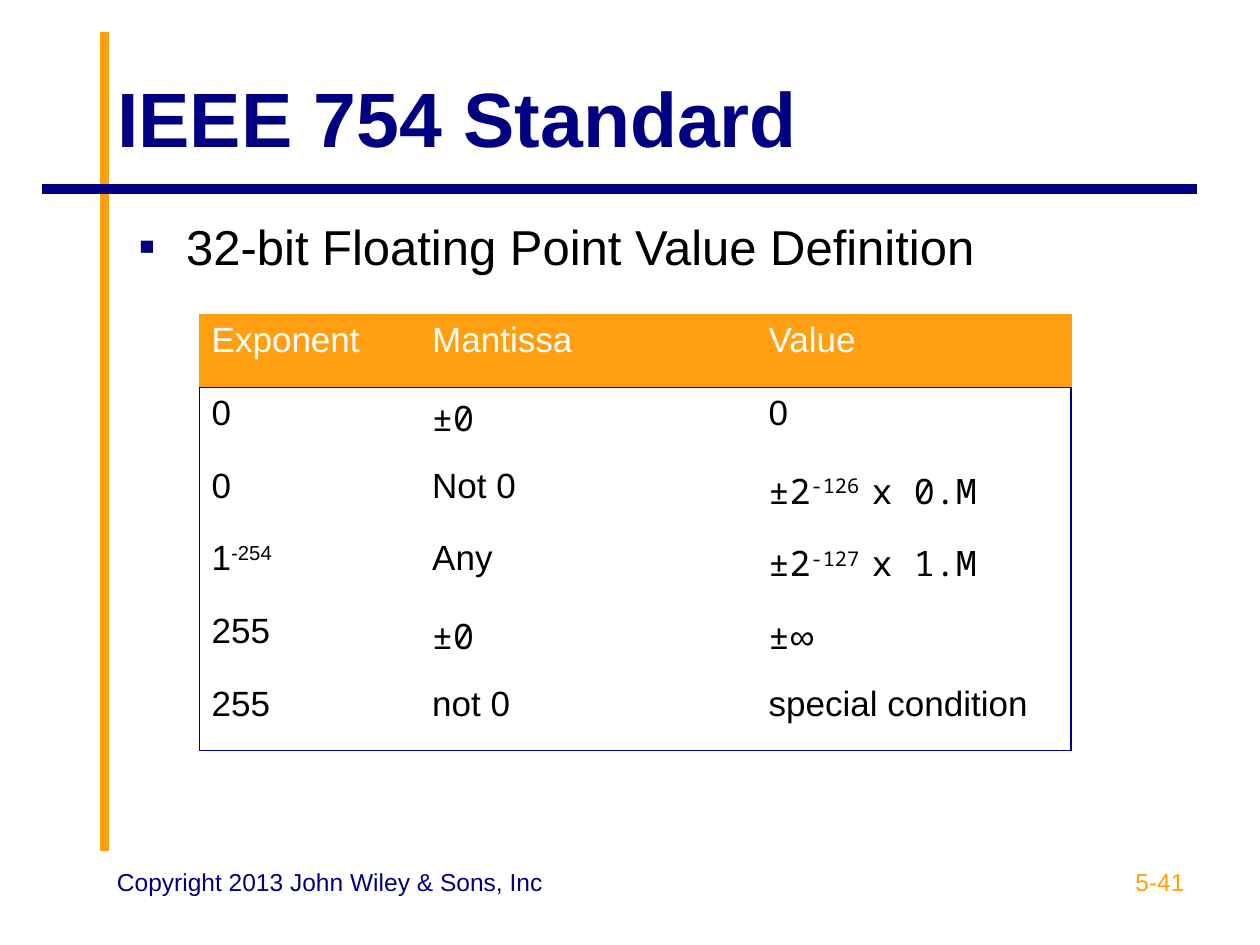
from lxml.etree import SubElement
from pptx import Presentation
from pptx.dml.color import RGBColor
from pptx.enum.shapes import MSO_CONNECTOR
from pptx.enum.text import MSO_ANCHOR, PP_ALIGN
from pptx.oxml.ns import qn
from pptx.util import Inches, Pt

COLORS = {"navy": "000080", "orange": "FF9F11", "border": "000099",
          "black": "000000", "white": "FFFFFF"}
SANS, MONO = "Arial", "Noto Sans Mono"
HEADER = ["Exponent", "Mantissa", "Value"]
ROWS = [
    ["0", [("±0", MONO, 0)], "0"],
    ["0", "Not 0", [("±2", MONO, 0), ("-126 ", MONO, 30), ("x 0.M", MONO, 0)]],
    [[("1", SANS, 0), ("-254", SANS, 30)], "Any",
     [("±2", MONO, 0), ("-127 ", MONO, 30), ("x 1.M", MONO, 0)]],
    ["255", [("±0", MONO, 0)], [("±", MONO, 0), ("∞", SANS, 0)]],
    ["255", "not 0", "special condition"],
]


def rgb(name):
    """Return the palette colour of that name."""
    return RGBColor.from_string(COLORS[name])


def write(frame, text, size=20, color="black", bold=False, align=PP_ALIGN.LEFT):
    """Write a string, or a list of (text, font, raise in percent), in a frame."""
    paragraph = frame.paragraphs[0]
    paragraph.alignment = align
    pieces = [(text, SANS, 0)] if isinstance(text, str) else text
    for piece, face, raised in pieces:
        run = paragraph.add_run()
        run.text = piece
        run.font.name = face
        run.font.size = Pt(size)
        run.font.bold = bold
        run.font.color.rgb = rgb(color)
        if raised:
            run._r.get_or_add_rPr().set("baseline", str(raised * 1000))
    return paragraph


def add_text(slide, box, text, **style):
    """Add a wrapping text box and return its paragraph."""
    frame = slide.shapes.add_textbox(*map(Inches, box)).text_frame
    frame.word_wrap = True
    return write(frame, text, **style)


def add_rule(slide, ends, color):
    """Add one thick straight rule."""
    rule = slide.shapes.add_connector(MSO_CONNECTOR.STRAIGHT, *map(Inches, ends))
    rule.line.color.rgb = rgb(color)
    rule.line.width = Pt(5.5)
    SubElement(rule._element.spPr, qn("a:effectLst"))


def add_title(slide, box, text):
    """Place and format the title placeholder."""
    title = slide.shapes.title
    title.left, title.top, title.width, title.height = map(Inches, box)
    title.text_frame.vertical_anchor = MSO_ANCHOR.MIDDLE
    write(title.text_frame, text, size=44, color="navy", bold=True)


def add_bullet(slide, box, text):
    """Add the square-bulleted statement."""
    statement = add_text(slide, box, text, size=28)
    properties = statement._p.get_or_add_pPr()
    properties.set("marL", str(Inches(0.38)))
    properties.set("indent", str(-Inches(0.38)))
    bullet_color = SubElement(properties, qn("a:buClr"))
    SubElement(bullet_color, qn("a:srgbClr"), val=COLORS["navy"])
    SubElement(properties, qn("a:buFont"), typeface=SANS)
    SubElement(properties, qn("a:buChar"), char="▪")


def set_borders(cell, **sides):
    """Draw the named sides of a cell and clear the others."""
    properties = cell._tc.get_or_add_tcPr()
    for side in "LRTB":
        color = sides.get(side)
        border = SubElement(properties, qn(f"a:ln{side}"), w=str(Pt(0.75)))
        fill = SubElement(border, qn("a:solidFill" if color else "a:noFill"))
        if color:
            SubElement(fill, qn("a:srgbClr"), val=COLORS[color])


def add_value_table(slide, box, column_widths):
    """Add the table of exponent, mantissa and value."""
    last_row, last_column = len(ROWS), len(HEADER) - 1
    table = slide.shapes.add_table(last_row + 1, last_column + 1,
                                   *map(Inches, box)).table
    table.first_row = table.horz_banding = False
    for column, width in zip(table.columns, column_widths):
        column.width = Inches(width)
    for r, entries in enumerate([HEADER] + ROWS):
        for c, entry in enumerate(entries):
            cell = table.cell(r, c)
            if r == 0:
                set_borders(cell, L="orange", R="orange", T="orange", B="border")
                cell.fill.solid()
                cell.fill.fore_color.rgb = rgb("orange")
            else:
                set_borders(cell, L="border" if c == 0 else None,
                            R="border" if c == last_column else None,
                            T="border" if r == 1 else None,
                            B="border" if r == last_row else None)
                cell.fill.background()
            write(cell.text_frame, entry, color="black" if r else "white")


def add_footer(slide, box, copyright_line, page):
    """Add the copyright line on the left and the page number on the right."""
    left, top, width, height = box
    add_text(slide, (left, top, 4.5, height), copyright_line,
             size=14, color="navy")
    add_text(slide, (left + width - 2.33, top, 2.33, height), page,
             size=14, color="orange", align=PP_ALIGN.RIGHT)


def main():
    """Build and save the slide."""
    deck = Presentation()
    deck.slide_width, deck.slide_height = Inches(10), Inches(7.5)
    slide = deck.slides.add_slide(deck.slide_layouts[5])
    add_rule(slide, (0.83, 6.75, 0.83, 0.25), "orange")
    add_rule(slide, (9.5, 1.5, 0.33, 1.5), "navy")
    add_title(slide, (0.83, 0.3, 8.67, 1.25), "IEEE 754 Standard")
    add_bullet(slide, (1, 1.67, 8.17, 0.6),
               "32-bit Floating Point Value Definition")
    add_value_table(slide, (1.58, 2.5, 6.92, 3.46), (1.75, 2.67, 2.5))
    add_footer(slide, (0.83, 6.83, 8.67, 0.52),
               "Copyright 2013 John Wiley & Sons, Inc", "5-41")
    deck.save("out.pptx")


if __name__ == "__main__":
    main()
